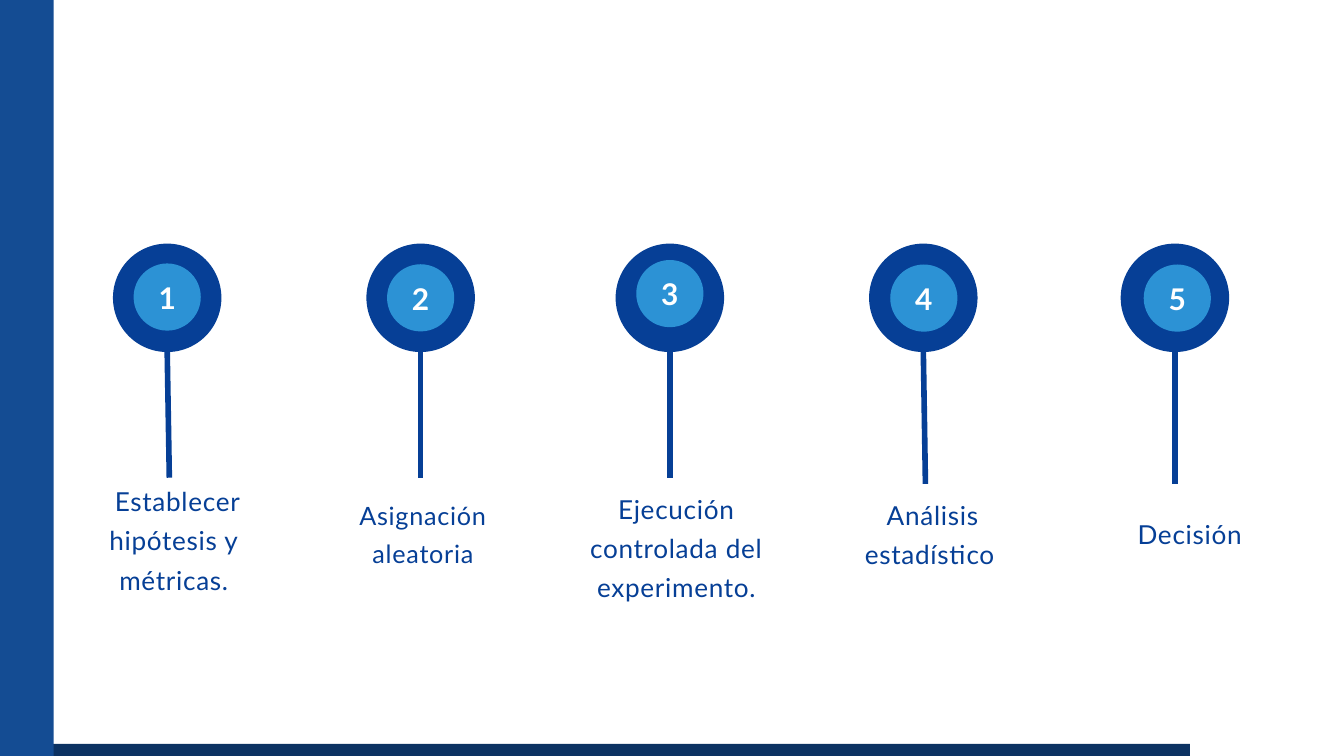
from dataclasses import dataclass

from lxml import etree
from pptx import Presentation
from pptx.dml.color import RGBColor
from pptx.enum.shapes import MSO_CONNECTOR, MSO_SHAPE
from pptx.enum.text import MSO_ANCHOR, PP_ALIGN
from pptx.oxml.ns import qn
from pptx.shapes.autoshape import Shape
from pptx.slide import Slide
from pptx.text.text import TextFrame
from pptx.util import Cm, Pt

RECTANGLE, OVAL = MSO_SHAPE.RECTANGLE, MSO_SHAPE.OVAL
STRAIGHT = MSO_CONNECTOR.STRAIGHT
TOP, MIDDLE = MSO_ANCHOR.TOP, MSO_ANCHOR.MIDDLE
CENTER = PP_ALIGN.CENTER


@dataclass(frozen=True)
class Theme:
    font: str = "Lato"
    navy: str = "0C3262"
    side: str = "144C93"
    ring: str = "063F96"
    disc: str = "2C92D5"
    white: str = "FFFFFF"
    label_size: float = 28
    number_size: float = 32
    stem_width: float = 6


@dataclass(frozen=True)
class Step:
    """One milestone; lengths in centimetres."""
    label: str
    ring_x: float
    disc_x: float
    disc_top: float
    stem_x: float
    stem_end: float
    label_x: float
    label_top: float
    label_height: float
    size: float


THEME = Theme()
SLIDE_WIDTH, SLIDE_HEIGHT = 50.8, 28.58
RING_TOP, RING_SIZE, DISC_SIZE = 9.21, 4.1, 2.54
LABEL_WIDTH = 7.44

STEPS = [
    Step(" Establecer hipótesis y métricas.", 6.32, 6.32, 9.96, 6.4, 18.06,
         6.57, 18.06, 4.29, THEME.label_size),
    Step("Asignación aleatoria", 15.9, 15.9, 9.99, 15.9, 18.06,
         15.99, 18.64, 2.74, THEME.label_size - 1),
    Step("Ejecución controlada del experimento.", 25.32, 25.32, 9.83, 25.32, 18.06,
         25.57, 18.34, 5.74, THEME.label_size),
    Step(" Análisis estadístico", 34.9, 34.92, 10, 34.98, 18.29,
         35.14, 18.59, 2.82, THEME.label_size),
    Step("Decisión", 44.41, 44.5, 10, 44.41, 18.29,
         44.97, 19.3, 1.37, THEME.label_size),
]


def add_block(page: Slide, kind: int, left: float, top: float,
              width: float, height: float, color: str) -> Shape:
    block = page.shapes.add_shape(kind, Cm(left), Cm(top), Cm(width), Cm(height))
    block.shadow.inherit = False
    block.fill.solid()
    block.fill.fore_color.rgb = RGBColor.from_string(color)
    block.line.fill.background()
    return block


def add_circle(page: Slide, center_x: float, top: float, size: float, color: str) -> Shape:
    return add_block(page, OVAL, center_x - size / 2, top, size, size, color)


def write(frame: TextFrame, text: str, size: float, color: str, leading: float,
          spacing: float, anchor: int, bold: bool = False) -> None:
    frame.word_wrap = True
    frame.vertical_anchor = anchor
    frame.margin_left = frame.margin_right = frame.margin_top = frame.margin_bottom = 0
    para = frame.paragraphs[0]
    para.alignment = CENTER
    para.line_spacing = Pt(leading)
    span = para.add_run()
    span.text = text
    span.font.name = THEME.font
    span.font.size = Pt(size)
    span.font.bold = bold
    span.font.color.rgb = RGBColor.from_string(color)
    # Letter spacing is stored in hundredths of a point
    span._r.get_or_add_rPr().set("spc", str(round(spacing * 100)))


def add_stem(page: Slide, step: Step) -> None:
    stem = page.shapes.add_connector(STRAIGHT, Cm(step.stem_x), Cm(step.stem_end),
                                     Cm(step.ring_x), Cm(RING_TOP + RING_SIZE))
    stem.line.width = Pt(THEME.stem_width)
    stem.line.color.rgb = RGBColor.from_string(THEME.ring)
    etree.SubElement(stem._element.spPr, qn("a:effectLst"))


def add_step(page: Slide, number: int, step: Step) -> None:
    # Ring, stem and numbered disc
    add_circle(page, step.ring_x, RING_TOP, RING_SIZE, THEME.ring)
    add_stem(page, step)
    disc = add_circle(page, step.disc_x, step.disc_top, DISC_SIZE, THEME.disc)
    write(disc.text_frame, str(number), THEME.number_size, THEME.white, 41.6, 1.6,
          MIDDLE, bold=True)
    disc.text_frame.margin_bottom = Cm(0.08)

    # Label under the stem
    box = page.shapes.add_textbox(Cm(step.label_x - LABEL_WIDTH / 2), Cm(step.label_top),
                                  Cm(LABEL_WIDTH), Cm(step.label_height))
    write(box.text_frame, step.label, step.size, THEME.ring, step.size * 1.5, 0.8, TOP)


def main() -> None:
    deck = Presentation()
    deck.slide_width, deck.slide_height = Cm(SLIDE_WIDTH), Cm(SLIDE_HEIGHT)
    page = deck.slides.add_slide(deck.slide_layouts[6])

    # Bars at the bottom and on the left
    add_block(page, RECTANGLE, 0, 28.12, 44.98, 0.46, THEME.navy)
    add_block(page, RECTANGLE, 0, 0, 2.03, SLIDE_HEIGHT, THEME.side)

    # Timeline
    for number, step in enumerate(STEPS, start=1):
        add_step(page, number, step)

    deck.save("out.pptx")


if __name__ == "__main__":
    main()
